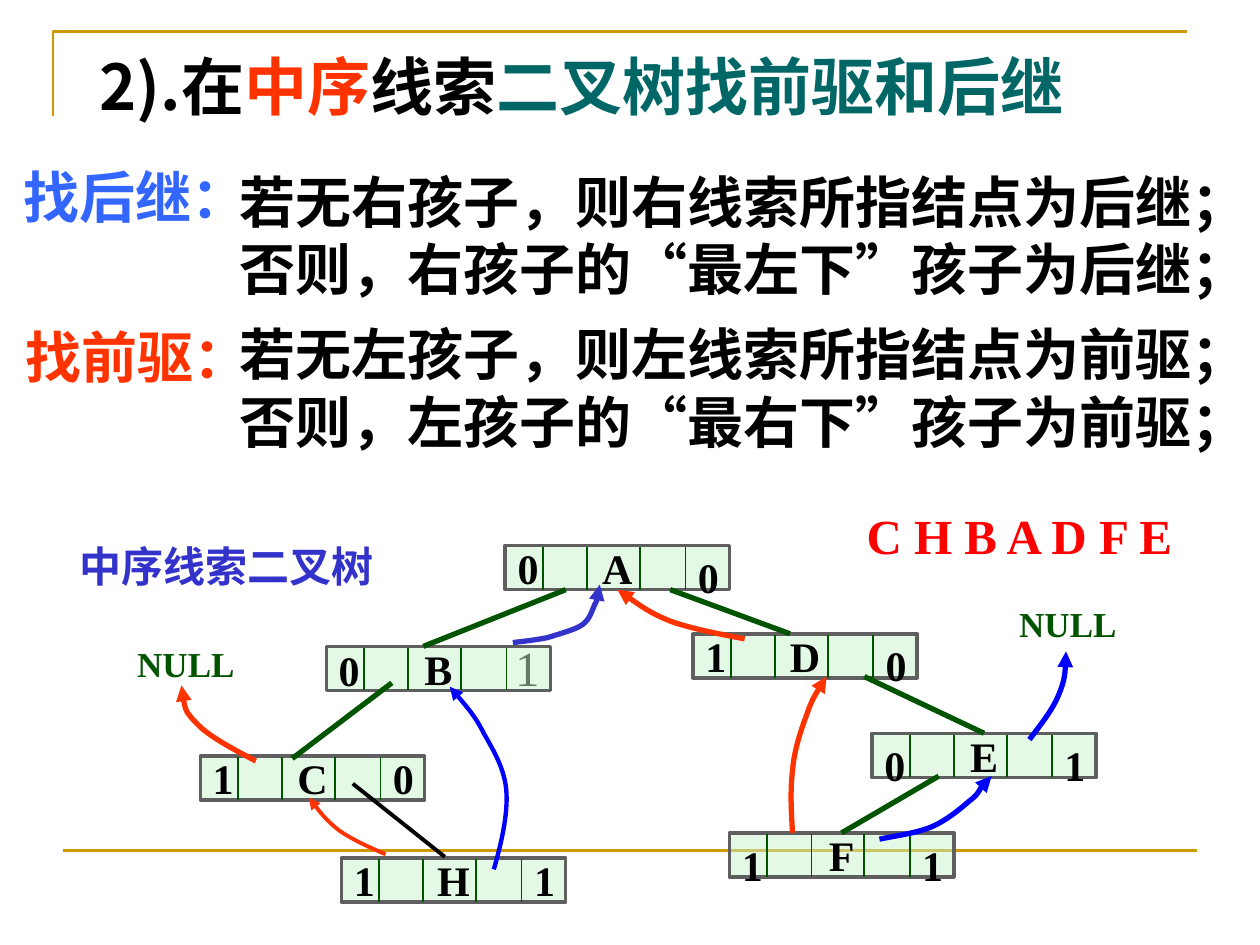
from lxml.etree import SubElement
from pptx import Presentation
from pptx.dml.color import RGBColor
from pptx.enum.shapes import MSO_CONNECTOR, MSO_SHAPE
from pptx.enum.text import MSO_ANCHOR, MSO_AUTO_SIZE, PP_ALIGN
from pptx.oxml.ns import qn
from pptx.util import Inches, Pt

COLORS = {
    "black": "000000", "orange": "FF3300", "teal": "006666", "sky": "3366FF",
    "blue": "0000FF", "indigo": "3333CC", "red": "FF0000", "green": "005400",
    "gold": "CC9900", "gray": "5F5F5F", "mint": "CAF2CE",
}
SERIF, SANS = "Times New Roman", "Noto Sans CJK SC"

TITLE = [("2).在", "black"), ("中序", "orange"), ("线索", "black"), ("二叉树找前驱和后继", "teal")]

LABELS = [
    (["若无右孩子，则右线索所指结点为后继；", "否则，右孩子的“最左下”孩子为后继；"],
     (1.8, 1.28, 8.87, 1.17), dict(size=32)),
    (["若无左孩子，则左线索所指结点为前驱；", "否则，左孩子的“最右下”孩子为前驱；"],
     (1.8, 2.49, 8.87, 1.17), dict(size=32)),
    (["找后继："], (0.09, 1.24, 2.14, 0.64), dict(size=32, color="sky", font=SANS)),
    (["找前驱："], (0.1, 2.51, 2.22, 0.64), dict(size=32, color="orange", font=SANS)),
    (["中序线索二叉树"], (0.53, 4.24, 2.9, 0.5), dict(color="indigo")),
    (["C H B A D F E"], (6.78, 3.96, 2.84, 0.57), dict(size=28, color="red")),
    (["NULL"], (7.99, 4.73, 1.01, 0.44), dict(size=20, color="green")),
    (["NULL"], (0.99, 5.05, 1.01, 0.44), dict(size=20, color="green")),
]

NODE_WIDTH, NODE_HEIGHT = 1.78, 0.35
DIVIDERS = (0.3, 0.65, 1.07, 1.43)
FLAG_WIDTH = 0.36
# name: left, top, (left tag, line spacing), (right tag, line spacing)
NODES = {
    "A": (4.01, 4.33, ("0", 0.8), ("0", 1)),
    "B": (2.59, 5.13, ("0", 0.85), None),
    "D": (5.5, 5.03, ("1", 0.8), ("0", 1)),
    "C": (1.59, 6, ("1", 0.8), ("0", 0.8)),
    "E": (6.92, 5.82, ("0", 1), ("1", 1)),
    "F": (5.79, 6.61, ("1", 1), ("1", 1)),
    "H": (2.71, 6.81, ("1", 0.8), ("1", 0.8)),
}
LIGHT_FLAG = (["1"], (3.99, 5.01, 0.36, 0.57), dict(size=28, bold=False))

BRANCHES = [
    ((4.49, 4.68), (3.36, 5.13), "green", 3, None),
    ((5.32, 4.68), (6.27, 5.03), "green", 3, None),
    ((6.86, 5.37), (7.81, 5.82), "green", 3, "E"),
    ((7.45, 6.16), (6.68, 6.61), "green", 3, "F"),
    ((3.11, 5.42), (2.32, 6.02), "green", 3, None),
    ((2.8, 6.22), (3.53, 6.8), "black", 2.25, None),
]

THREADS = [
    ("orange", 3, [(2.03, 6.04), (1.84, 5.94), (1.65, 5.84), (1.56, 5.74),
                   (1.46, 5.64), (1.45, 5.54), (1.44, 5.44)]),
    ("orange", 3, [(6.29, 6.61), (6.28, 6.44), (6.27, 6.28), (6.29, 6.12), (6.3, 5.97),
                   (6.35, 5.81), (6.4, 5.68), (6.44, 5.56), (6.5, 5.46), (6.56, 5.37)]),
    ("blue", 3, [(6.98, 6.66), (7.13, 6.63), (7.28, 6.61), (7.4, 6.56), (7.51, 6.51),
                 (7.61, 6.43), (7.69, 6.36), (7.77, 6.3), (7.84, 6.15), (7.87, 6.16)]),
    ("orange", 3, [(5.91, 5.07), (5.7, 5.03), (5.49, 4.99), (5.32, 4.93),
                   (5.15, 4.86), (5.03, 4.77), (4.9, 4.68)]),
    ("blue", 3, [(8.17, 5.87), (8.26, 5.75), (8.35, 5.64), (8.4, 5.52),
                 (8.45, 5.4), (8.46, 5.29), (8.46, 5.17)]),
    ("indigo", 3, [(4.07, 5.1), (4.16, 5.09), (4.25, 5.08), (4.35, 5.06), (4.44, 5.03),
                   (4.56, 5), (4.62, 4.96), (4.69, 4.91), (4.7, 4.83), (4.73, 4.78),
                   (4.75, 4.73), (4.76, 4.66), (4.76, 4.64)]),
    ("blue", 2.5, [(3.92, 6.9), (3.98, 6.69), (4.03, 6.47), (4.02, 6.29), (4.01, 6.11),
                   (3.92, 5.96), (3.84, 5.82), (3.77, 5.68), (3.67, 5.57), (3.57, 5.45)]),
    ("orange", 2.25, [(3.06, 6.78), (2.92, 6.72), (2.79, 6.66), (2.69, 6.59),
                      (2.59, 6.51), (2.52, 6.42), (2.45, 6.33)]),
]


def rgb(name):
    return RGBColor.from_string(COLORS[name])


def write_text(paragraph, text, size=24, color="black", font=SERIF, bold=True):
    run = paragraph.add_run()
    run.text = text
    run.font.size, run.font.bold, run.font.name = Pt(size), bold, font
    run.font.color.rgb = rgb(color)
    SubElement(run.font._element, qn("a:ea"), typeface=SANS)


def add_label(slide, lines, box, spacing=1, **style):
    frame = slide.shapes.add_textbox(*map(Inches, box)).text_frame
    frame.word_wrap = True
    frame.auto_size = MSO_AUTO_SIZE.SHAPE_TO_FIT_TEXT
    for index, line in enumerate(lines):
        paragraph = frame.add_paragraph() if index else frame.paragraphs[0]
        if spacing != 1:
            paragraph.line_spacing = spacing
        write_text(paragraph, line, **style)


def add_line(slide, start, end, color, width):
    line = slide.shapes.add_connector(MSO_CONNECTOR.STRAIGHT, *map(Inches, start + end))
    line.line.color.rgb, line.line.width = rgb(color), Pt(width)
    SubElement(line._element.spPr, qn("a:effectLst"))
    return line


def add_outline(slide, points, color, width):
    corners = [(Inches(x), Inches(y)) for x, y in points]
    builder = slide.shapes.build_freeform(*corners[0])
    builder.add_line_segments(corners[1:], close=False)
    shape = builder.convert_to_shape()
    shape.shadow.inherit = False
    shape.fill.background()
    shape.line.color.rgb, shape.line.width = rgb(color), Pt(width)
    return shape


def add_thread(slide, points, color, width):
    shape = add_outline(slide, points, color, width)
    outline = next(shape._element.iter(qn("a:path")))
    segments = outline.findall(qn("a:lnTo"))
    for first in range(0, len(segments), 3):
        curve = SubElement(outline, qn("a:cubicBezTo"))
        for segment in segments[first:first + 3]:
            curve.append(segment[0])
            outline.remove(segment)
    SubElement(shape.line._get_or_add_ln(), qn("a:tailEnd"), type="triangle")


def add_node(slide, name, left, top, left_flag, right_flag):
    box = slide.shapes.add_shape(
        MSO_SHAPE.RECTANGLE, *map(Inches, (left, top, NODE_WIDTH, NODE_HEIGHT)))
    box.shadow.inherit = False
    box.fill.solid()
    box.fill.fore_color.rgb = rgb("mint")
    SubElement(next(box._element.spPr.iter(qn("a:srgbClr"))), qn("a:alpha"), val="50000")
    box.line.color.rgb, box.line.width = rgb("gray"), Pt(2)
    box.text_frame.word_wrap = False
    box.text_frame.vertical_anchor = MSO_ANCHOR.MIDDLE
    paragraph = box.text_frame.paragraphs[0]
    paragraph.alignment = PP_ALIGN.CENTER
    write_text(paragraph, name)
    for offset in DIVIDERS:
        x = left + offset
        add_line(slide, (x, top + 0.01), (x, top + NODE_HEIGHT), "green", 1)
    for flag, offset in ((left_flag, 0), (right_flag, DIVIDERS[-1])):
        if flag:
            add_label(slide, [flag[0]], (left + offset, top, FLAG_WIDTH, 0.42), spacing=flag[1])
    return box


def add_title(slide):
    title = slide.shapes.title
    title.left, title.top, title.width, title.height = map(Inches, (0.69, 0.18, 8.06, 0.94))
    frame = title.text_frame
    frame.word_wrap, frame.auto_size = True, MSO_AUTO_SIZE.NONE
    frame.vertical_anchor = MSO_ANCHOR.TOP
    paragraph = frame.paragraphs[0]
    paragraph.alignment, paragraph.line_spacing = PP_ALIGN.LEFT, 1.25
    properties = paragraph._p.get_or_add_pPr()
    properties.set("marL", str(Inches(0.38)))
    properties.set("indent", str(-Inches(0.38)))
    for text, color in TITLE:
        write_text(paragraph, text, size=36, color=color, font=SANS)


def main():
    """Build the slide on finding neighbours in an inorder threaded binary tree."""
    presentation = Presentation()
    presentation.slide_width, presentation.slide_height = Inches(10), Inches(7.5)
    slide = presentation.slides.add_slide(presentation.slide_layouts[5])
    add_title(slide)
    add_outline(slide, [(0.42, 0.92), (0.42, 0.25), (9.42, 0.25)], "gold", 1.5)
    add_line(slide, (0.5, 6.75), (9.5, 6.75), "gold", 1.5)
    for lines, box, style in LABELS + [LIGHT_FLAG]:
        add_label(slide, lines, box, **style)
    boxes = {name: add_node(slide, name, *node) for name, node in NODES.items()}
    for start, end, color, width, child in BRANCHES:
        branch = add_line(slide, start, end, color, width)
        if child:
            branch.end_connect(boxes[child], 0)
    for color, width, points in THREADS:
        add_thread(slide, points, color, width)
    presentation.save("out.pptx")


if __name__ == "__main__":
    main()
